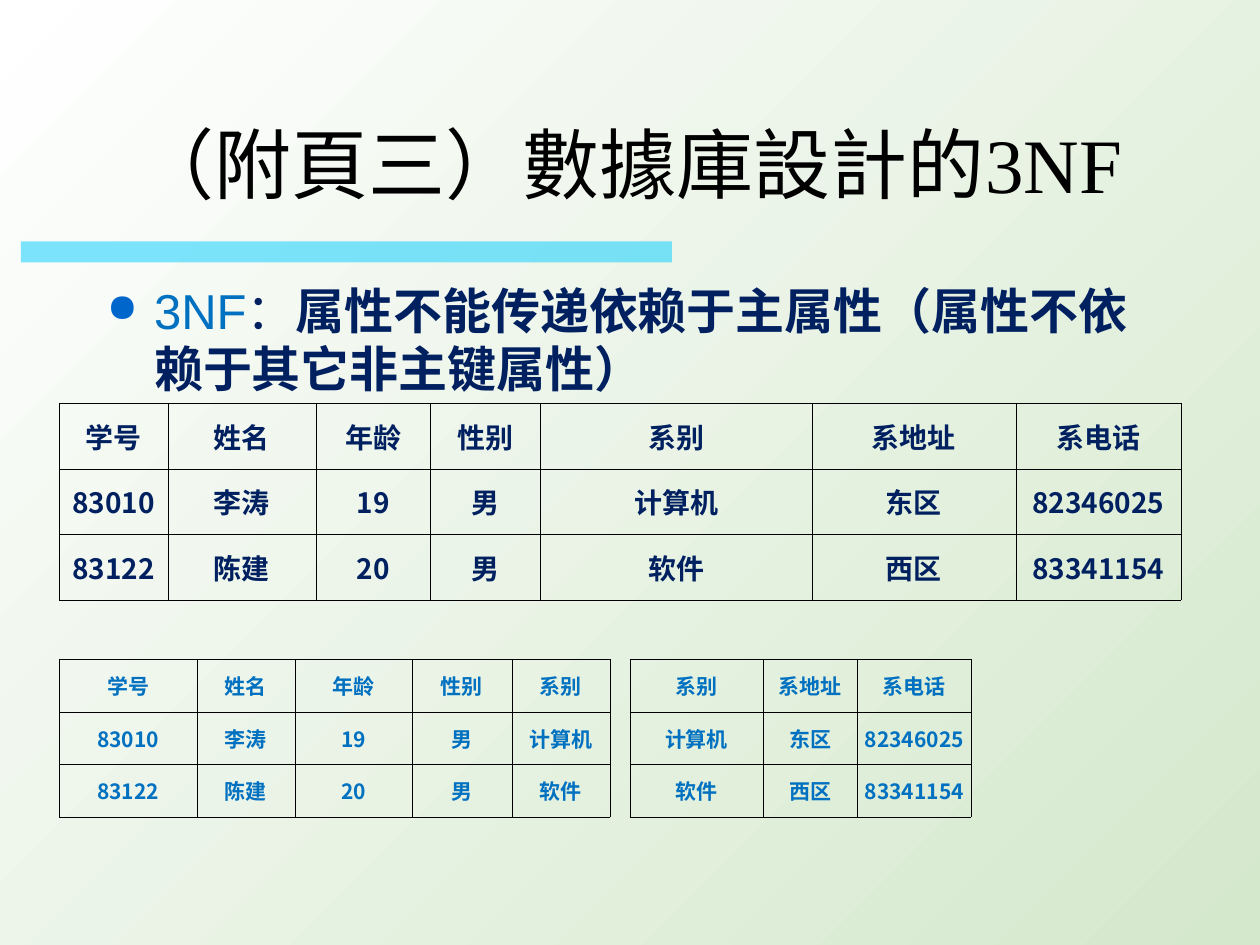
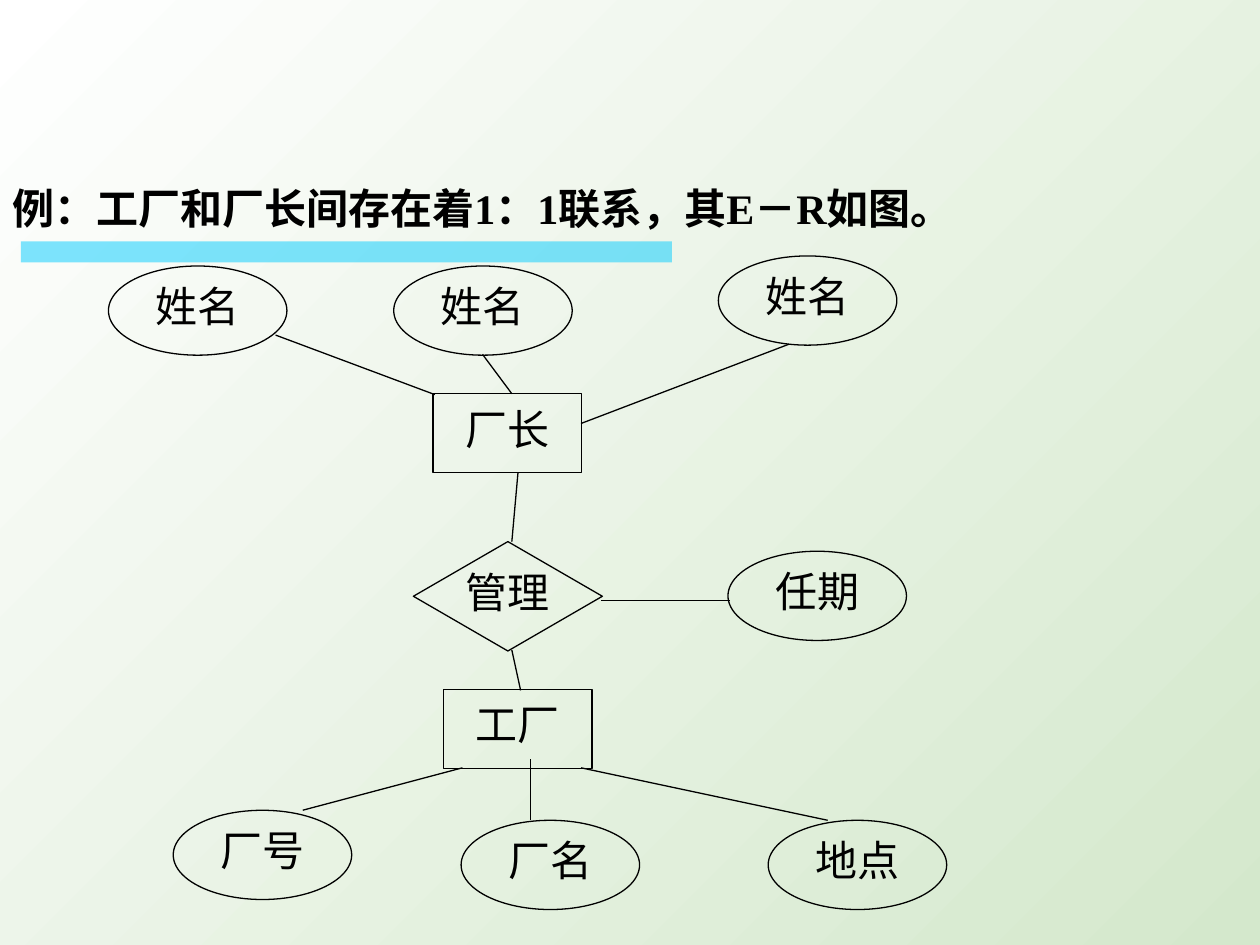
from lxml.etree import SubElement
from pptx import Presentation
from pptx.dml.color import RGBColor
from pptx.enum.shapes import MSO_CONNECTOR, MSO_SHAPE
from pptx.enum.text import MSO_ANCHOR, MSO_AUTO_SIZE, PP_ALIGN
from pptx.oxml import parse_xml
from pptx.oxml.ns import nsdecls, qn
from pptx.util import Pt

COLORS = {
    "white": "FFFFFF",
    "green": "D4E8CC",
    "band": "00CCFF",
    "black": "000000",
    "bullet": "0066CC",
    "blue": "0070C0",
    "navy": "002060",
}
SERIF, SANS, CHINESE = "Times New Roman", "Arial", "Noto Sans CJK TC"


def color(name):
    return RGBColor.from_string(COLORS[name])


def add_run(paragraph, text, size, font_name, color_name, bold=False):
    """Add a run with separate Latin and Chinese fonts."""
    run = paragraph.add_run()
    run.text = text
    run.font.size = Pt(size)
    run.font.bold = bold
    run.font.color.rgb = color(color_name)
    run.font.name = font_name
    properties = run._r.get_or_add_rPr()
    properties.set("lang", "zh-CN")
    SubElement(properties, qn("a:ea")).set("typeface", CHINESE)


presentation = Presentation()
presentation.slide_width = Pt(720)
presentation.slide_height = Pt(540)

# Shared background and band
background = presentation.slide_master.background.fill
background.gradient()
background.gradient_angle = 315
for stop, name, position in zip(background.gradient_stops, ("white", "green"), (0, 1)):
    stop.color.rgb = color(name)
    stop.position = position

normal_form_slide = presentation.slides.add_slide(presentation.slide_layouts[5])
diagram_slide = presentation.slides.add_slide(presentation.slide_layouts[6])
for slide in (normal_form_slide, diagram_slide):
    band = slide.shapes.add_shape(MSO_SHAPE.RECTANGLE, Pt(12), Pt(138), Pt(372), Pt(12))
    band.shadow.inherit = False
    band.line.fill.background()
    band.fill.solid()
    band.fill.fore_color.rgb = color("band")
    band_color = band._element.spPr.find(qn("a:solidFill"))[0]
    SubElement(band_color, qn("a:alpha")).set("val", "50000")

# Slide 1: third normal form
title = normal_form_slide.shapes.title
title.left, title.top, title.width, title.height = Pt(54), Pt(48), Pt(612), Pt(90)
title.text_frame.vertical_anchor = MSO_ANCHOR.MIDDLE
title.text_frame.auto_size = MSO_AUTO_SIZE.NONE
paragraph = title.text_frame.paragraphs[0]
paragraph.alignment = PP_ALIGN.CENTER
add_run(paragraph, "（附頁三）數據庫設計的3NF", 44, SERIF, "black")

definition = normal_form_slide.shapes.add_textbox(Pt(54), Pt(156), Pt(612), Pt(91.5))
definition.text_frame.word_wrap = True
definition.text_frame.margin_top = Pt(5)
paragraph = definition.text_frame.paragraphs[0]
properties = paragraph._p.get_or_add_pPr()
properties.set("marL", str(Pt(27)))
properties.set("indent", str(Pt(-27)))
bullet_color = SubElement(properties, qn("a:buClr"))
SubElement(bullet_color, qn("a:srgbClr")).set("val", COLORS["bullet"])
SubElement(properties, qn("a:buSzPct")).set("val", "80000")
SubElement(properties, qn("a:buChar")).set("char", "●")
paragraph.line_spacing = Pt(33)
add_run(paragraph, "3NF", 28, SANS, "blue")
add_run(paragraph, "：", 28, SANS, "navy")
add_run(paragraph, "属性不能传递依赖于主属性（属性不依赖于其它非主键属性）", 28, SANS, "navy", True)

students = [
    ["学号", "姓名", "年龄", "性别", "系别", "系地址", "系电话"],
    ["83010", "李涛", "19", "男", "计算机", "东区", "82346025"],
    ["83122", "陈建", "20", "男", "软件", "西区", "83341154"],
]
# Rows, left, top, column widths, row height, text size, text colour
tables = [
    (students, 34, 230.5, [62, 84.5, 65.5, 63, 155, 116.5, 94.5], 37.5, 16, "navy"),
    ([row[:5] for row in students], 34, 376.75, [78.5, 56, 67, 57, 56], 30, 12, "blue"),
    ([row[4:] for row in students], 360, 376.75, [76, 54, 65], 30, 12, "blue"),
]
for rows, left, top, widths, row_height, size, text_color in tables:
    table = normal_form_slide.shapes.add_table(
        len(rows), len(widths), Pt(left), Pt(top), Pt(sum(widths)), Pt(row_height * len(rows))
    ).table
    table.first_row = table.horz_banding = False
    for column, width in zip(table.columns, widths):
        column.width = Pt(width)
    for row_number, row in enumerate(rows):
        table.rows[row_number].height = Pt(row_height)
        for column_number, text in enumerate(row):
            cell = table.cell(row_number, column_number)
            cell.fill.background()
            cell.vertical_anchor = MSO_ANCHOR.MIDDLE
            cell.margin_left = cell.margin_right = Pt(0.72)
            cell.margin_top = cell.margin_bottom = Pt(3.6)
            paragraph = cell.text_frame.paragraphs[0]
            paragraph.alignment = PP_ALIGN.CENTER
            add_run(paragraph, text, size, CHINESE, text_color, True)
            for index, side in enumerate(("lnL", "lnR", "lnT", "lnB")):
                border = parse_xml(
                    f'<a:{side} {nsdecls("a")} w="{Pt(0.23)}"><a:solidFill>'
                    f'<a:srgbClr val="{COLORS["black"]}"/></a:solidFill></a:{side}>'
                )
                cell._tc.get_or_add_tcPr().insert(index, border)

# Slide 2: entity-relationship diagram
heading = diagram_slide.shapes.add_textbox(Pt(0), Pt(106.5), Pt(720), Pt(30))
heading.text_frame.word_wrap = True
heading.text_frame.auto_size = MSO_AUTO_SIZE.SHAPE_TO_FIT_TEXT
paragraph = heading.text_frame.paragraphs[0]
paragraph.line_spacing = 0.8
add_run(paragraph, "例：工厂和厂长间存在着1：1联系，其E－R如图。", 24, SERIF, "black", True)

node_sizes = {
    MSO_SHAPE.RECTANGLE: (85, 45),
    MSO_SHAPE.DIAMOND: (108, 62.5),
    MSO_SHAPE.OVAL: (102, 51),
}
nodes = [
    ("厂长", MSO_SHAPE.RECTANGLE, 247.5, 225),
    ("工厂", MSO_SHAPE.RECTANGLE, 253.25, 394),
    ("管理", MSO_SHAPE.DIAMOND, 236.25, 309.5),
    ("姓名", MSO_SHAPE.OVAL, 62, 152),
    ("姓名", MSO_SHAPE.OVAL, 225, 152),
    ("姓名", MSO_SHAPE.OVAL, 410.5, 146.25),
    ("厂号", MSO_SHAPE.OVAL, 99, 463),
    ("厂名", MSO_SHAPE.OVAL, 263.5, 468.75),
    ("地点", MSO_SHAPE.OVAL, 439, 468.75),
    ("任期", MSO_SHAPE.OVAL, 416, 315),
]
for text, kind, left, top in nodes:
    width, height = node_sizes[kind]
    node = diagram_slide.shapes.add_shape(kind, Pt(left), Pt(top), Pt(width), Pt(height))
    node.shadow.inherit = False
    node.fill.background()
    node.line.color.rgb = color("black")
    node.line.width = Pt(0.75)
    node.text_frame.word_wrap = False
    node.text_frame.vertical_anchor = MSO_ANCHOR.MIDDLE
    paragraph = node.text_frame.paragraphs[0]
    paragraph.alignment = PP_ALIGN.CENTER
    paragraph.line_spacing = 0.8
    add_run(paragraph, text, 24, SERIF, "black")

links = [
    (275.75, 202.5, 292.5, 225),
    (296, 270, 292.5, 309.5),
    (292.5, 371.5, 297.5, 394.5),
    (264.25, 438.75, 173, 463),
    (303.25, 434, 303.25, 468.75),
    (332, 438.75, 473, 468.75),
    (343.5, 343.25, 417, 343.25),
    (157.5, 191.5, 248.5, 225.5),
    (450.75, 196.75, 332, 242),
]
for link in links:
    connector = diagram_slide.shapes.add_connector(
        MSO_CONNECTOR.STRAIGHT, *(Pt(value) for value in link)
    )
    connector.line.color.rgb = color("black")
    connector.line.width = Pt(0.75)
    SubElement(connector._element.spPr, qn("a:effectLst"))

presentation.save("out.pptx")
